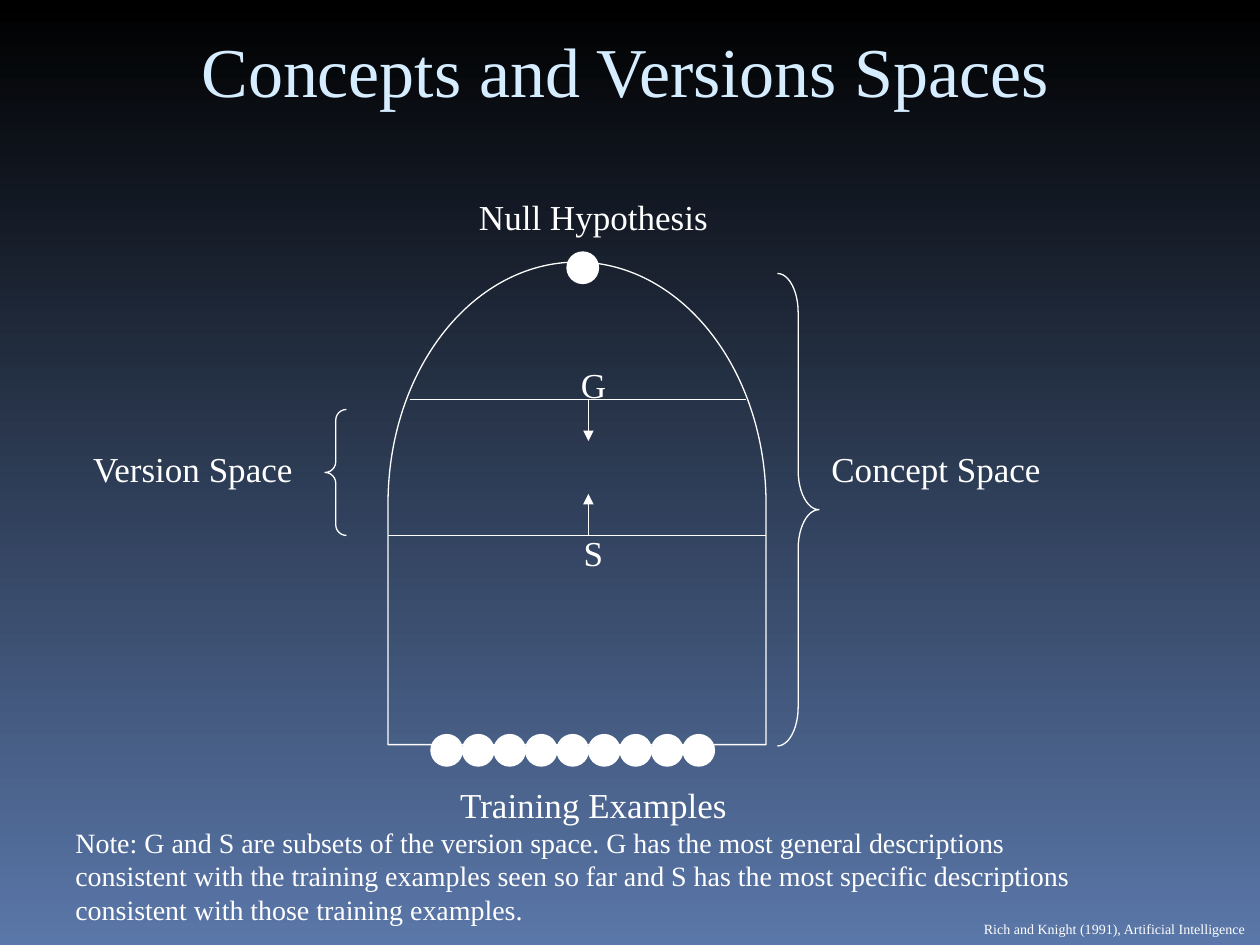
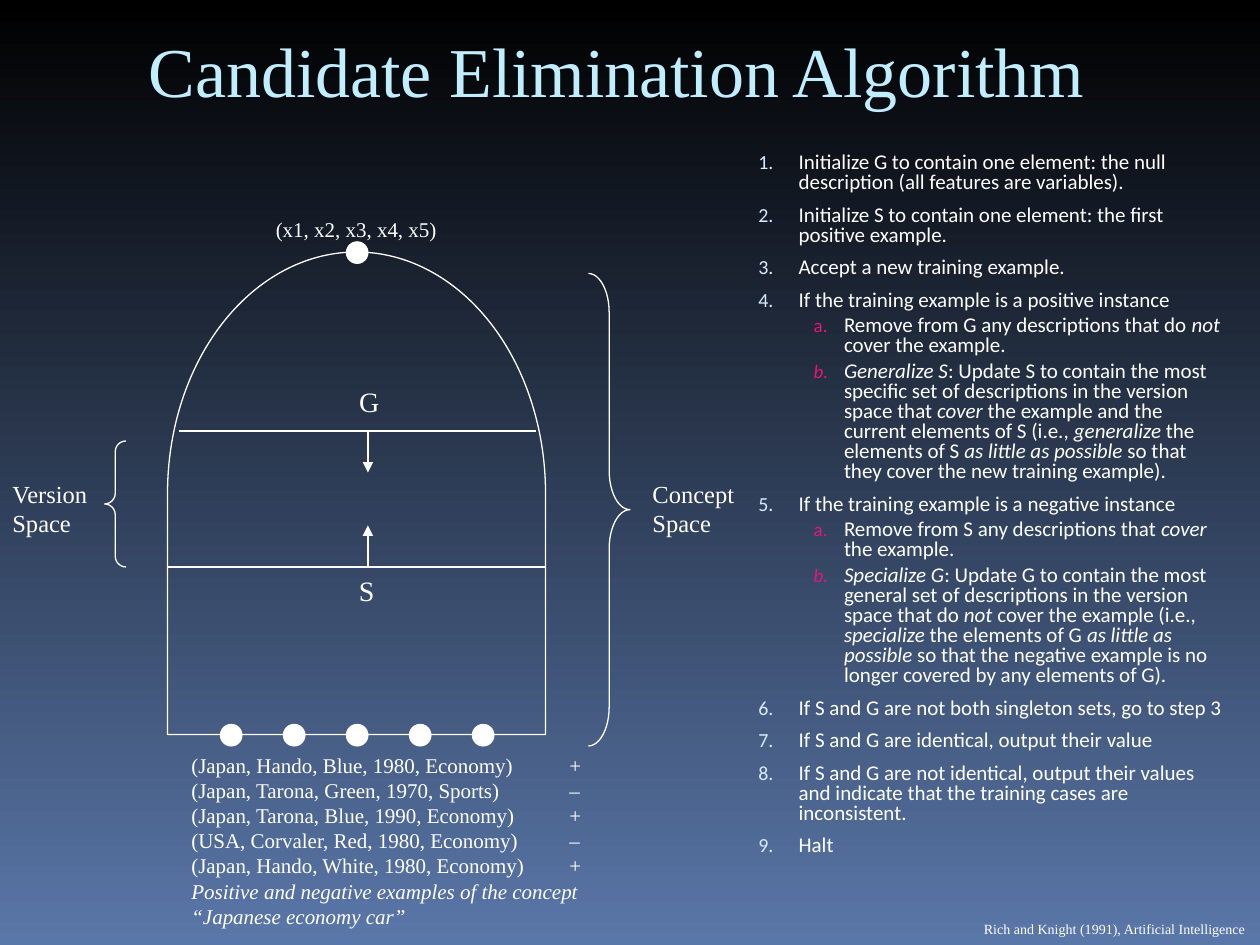
from lxml import etree
from pptx import Presentation
from pptx.dml.color import RGBColor
from pptx.enum.shapes import MSO_CONNECTOR, MSO_SHAPE
from pptx.enum.text import PP_ALIGN
from pptx.oxml.ns import qn
from pptx.util import Inches, Pt

STRAIGHT = MSO_CONNECTOR.STRAIGHT
OVAL, DELAY = MSO_SHAPE.OVAL, MSO_SHAPE.FLOWCHART_DELAY
LEFT_BRACE, RIGHT_BRACE = MSO_SHAPE.LEFT_BRACE, MSO_SHAPE.RIGHT_BRACE
LEFT, CENTER = PP_ALIGN.LEFT, PP_ALIGN.CENTER

COLORS = {
    "top": "000000",
    "bottom": "5A77A9",
    "text": "FFFFFF",
    "ice": "D6ECFF",
    "sky": "C1EEFF",
    "pink": "EA157A",
}
SERIF, SANS = "Times New Roman", "Calibri"
CITATION = "Rich and Knight (1991), Artificial Intelligence"
NOTE = (
    "Note: G and S are subsets of the version space. G has the most general descriptions "
    "consistent with the training examples seen so far and S has the most specific descriptions "
    "consistent with those training examples."
)
CARS = [
    "(Japan, Hando, Blue, 1980, Economy)\t+",
    "(Japan, Tarona, Green, 1970, Sports)\t–",
    "(Japan, Tarona, Blue, 1990, Economy)\t+",
    "(USA, Corvaler, Red, 1980, Economy)\t–",
    "(Japan, Hando, White, 1980, Economy)\t+",
    "*Positive and negative examples of the concept “Japanese economy car”*",
]
STEPS = [
    (0, "Initialize G to contain one element: the null description (all features are variables)."),
    (0, "Initialize S to contain one element: the first positive example."),
    (0, "Accept a new training example."),
    (0, "If the training example is a positive instance"),
    (1, "Remove from G any descriptions that do *not* cover the example."),
    (1, "*Generalize S*: Update S to contain the most specific set of descriptions in the "
        "version space that *cover* the example and the current elements of S (i.e., "
        "*generalize* the elements of S *as little as possible* so that they cover the "
        "new training example)."),
    (0, "If the training example is a negative instance"),
    (1, "Remove from S any descriptions that *cover* the example."),
    (1, "*Specialize G*: Update G to contain the most general set of descriptions in the "
        "version space that do *not* cover the example (i.e., *specialize* the elements of G "
        "*as little as possible *so that the negative example is no longer covered by any "
        "elements of G)."),
    (0, "If S and G are not both singleton sets, go to step 3"),
    (0, "If S and G are identical, output their value"),
    (0, "If S and G are not identical, output their values and indicate that the training "
        "cases are inconsistent."),
    (0, "Halt"),
]
STEP_LEVELS = [
    {"margin": 0.32, "indent": -0.32, "before": 7, "color": "ice", "size": 95,
     "number": "arabicPeriod"},
    {"margin": 0.68, "indent": -0.24, "before": 3, "color": "pink", "size": 90,
     "number": "alphaLcPeriod"},
]


def rgb(name):
    return RGBColor.from_string(COLORS[name])


def add_element(parent, tag, **attributes):
    element = etree.SubElement(parent, qn(tag))
    for name, value in attributes.items():
        element.set(name, str(value))
    return element


def add_spans(paragraph, text, size, font=SERIF, color="text"):
    for index, part in enumerate(text.split("*")):
        if part:
            span = paragraph.add_run()
            span.text = part
            values = {"size": Pt(size), "name": font, "italic": index % 2 == 1}
            for name, value in values.items():
                setattr(span.font, name, value)
            span.font.color.rgb = rgb(color)


def add_box(page, at, wrap=True):
    box = page.shapes.add_textbox(*map(Inches, at))
    box.text_frame.word_wrap = wrap
    return box.text_frame


def add_label(page, at, text, size, align=LEFT, wrap=True, color="text"):
    para = add_box(page, at, wrap).paragraphs[0]
    para.alignment = align
    add_spans(para, text, size, color=color)


def style_line(line, width=0.75):
    line.color.rgb = rgb("text")
    line.width = Pt(width)


def add_outline(page, kind, at, filled=False):
    shape = page.shapes.add_shape(kind, *map(Inches, at))
    shape.shadow.inherit = False
    if filled:
        shape.fill.solid()
        shape.fill.fore_color.rgb = rgb("text")
    else:
        shape.fill.background()
    style_line(shape.line)
    return shape


def add_dots(page, left, top, size, count=1, step=0):
    for index in range(count):
        add_outline(page, OVAL, (left + index * step, top, size, size), filled=True)


def add_dome(page, left, top, width=3, height=3.83):
    shift = (height - width) / 2
    dome = add_outline(page, DELAY, (left - shift, top + shift, height, width))
    dome.rotation = 270


def add_brace(page, kind, at, curve):
    add_outline(page, kind, at).adjustments[0] = curve


def add_line(page, start, end, width=0.75, arrow=False):
    line = page.shapes.add_connector(STRAIGHT, *map(Inches, start + end))
    style_line(line.line, width)
    if arrow:
        add_element(line.line._get_or_add_ln(), "a:tailEnd", type="triangle")
    add_element(line._element.spPr, "a:effectLst")


def add_boundary_arrows(page, x, general, specific, length=0.33):
    add_line(page, (x, general), (x, general + length), arrow=True)
    add_line(page, (x, specific), (x, specific - length), arrow=True)


def add_page(deck, title, title_left, title_color):
    page = deck.slides.add_slide(deck.slide_layouts[6])
    fill = page.background.fill
    fill.gradient()
    fill.gradient_angle = 270
    for stop, position, name in zip(fill.gradient_stops, (0, 1), ("top", "bottom")):
        stop.position = position
        stop.color.rgb = rgb(name)
    add_label(page, (title_left, 0.17, 7.75, 0.77), title, 40, color=title_color)
    add_label(page, (7.71, 7.26, 2.28, 0.24), CITATION, 8, wrap=False)
    return page


def add_car_examples(page):
    frame = add_box(page, (1.42, 5.92, 3.42, 1.5))
    for index, car in enumerate(CARS):
        para = frame.add_paragraph() if index else frame.paragraphs[0]
        tabs = add_element(para._p.get_or_add_pPr(), "a:tabLst")
        add_element(tabs, "a:tab", pos=Inches(3), algn="l")
        add_spans(para, car, 12)


def add_steps(page):
    frame = add_box(page, (5.92, 1.17, 3.92, 5.42))
    for index, (level, text) in enumerate(STEPS):
        style = STEP_LEVELS[level]
        para = frame.add_paragraph() if index else frame.paragraphs[0]
        para.level = level
        para.line_spacing = 0.8
        para.space_before = Pt(style["before"] if index else 0)
        properties = para._p.get_or_add_pPr()
        properties.set("marL", str(Inches(style["margin"])))
        properties.set("indent", str(Inches(style["indent"])))
        color = add_element(properties, "a:buClr")
        add_element(color, "a:srgbClr", val=COLORS[style["color"]])
        add_element(properties, "a:buSzPct", val=style["size"] * 1000)
        add_element(properties, "a:buAutoNum", type=style["number"])
        add_spans(para, text, 12, SANS)


def build_concept_page(deck):
    page = add_page(deck, "Concepts and Versions Spaces", 1.5, "ice")
    for row, text in ((0, "Null Hypothesis"), (4, "G"), (8, "S"), (14, "Training Examples")):
        add_label(page, (0.5, 1.5 + row / 3, 8.42, 0.43), text, 20, CENTER)
    for left, text in ((0.64, "Version Space"), (6.5, "Concept Space")):
        add_label(page, (left, 3.5, 2, 0.43), text, 20)
    add_label(page, (0.5, 6.5, 8.42, 0.9), NOTE, 16)
    add_dome(page, 3.08, 2.08)
    add_dots(page, 4.5, 2, 0.25)
    add_dots(page, 3.42, 5.83, 0.25, 9, 0.25)
    add_line(page, (3.25, 3.17), (5.92, 3.17))
    add_line(page, (3.08, 4.25), (6.08, 4.25))
    add_boundary_arrows(page, 4.67, 3.17, 4.25)
    add_brace(page, LEFT_BRACE, (2.58, 3.25, 0.17, 1), 0.5)
    add_brace(page, RIGHT_BRACE, (6.17, 2.17, 0.33, 3.75), 0.94)


def build_algorithm_page(deck):
    page = add_page(deck, "Candidate Elimination Algorithm", 1.08, "sky")
    add_dome(page, 1.33, 2)
    add_dots(page, 2.75, 1.92, 0.17)
    add_dots(page, 1.75, 5.75, 0.17, 5, 0.5)
    add_line(page, (1.42, 3.42), (4.25, 3.42), 0.94)
    add_line(page, (1.33, 4.5), (4.33, 4.5))
    add_boundary_arrows(page, 2.92, 3.42, 4.5)
    add_brace(page, LEFT_BRACE, (0.83, 3.5, 0.17, 1), 0.5)
    add_brace(page, RIGHT_BRACE, (4.67, 2.17, 0.33, 3.75), 0.94)
    add_label(page, (2.09, 1.67, 1.48, 0.3), "(x1, x2, x3, x4, x5)", 12, wrap=False)
    add_label(page, (0, 3.75, 0.83, 0.57), "Version Space", 14)
    add_label(page, (5.08, 3.75, 0.92, 0.57), "Concept Space", 14)
    add_label(page, (2.75, 3, 0.36, 0.37), "G", 16, CENTER, wrap=False)
    add_label(page, (2.75, 4.5, 0.32, 0.37), "S", 16, CENTER, wrap=False)
    add_car_examples(page)
    add_steps(page)


def main():
    deck = Presentation()
    deck.slide_width, deck.slide_height = Inches(10), Inches(7.5)
    build_concept_page(deck)
    build_algorithm_page(deck)
    deck.save("out.pptx")


if __name__ == "__main__":
    main()
